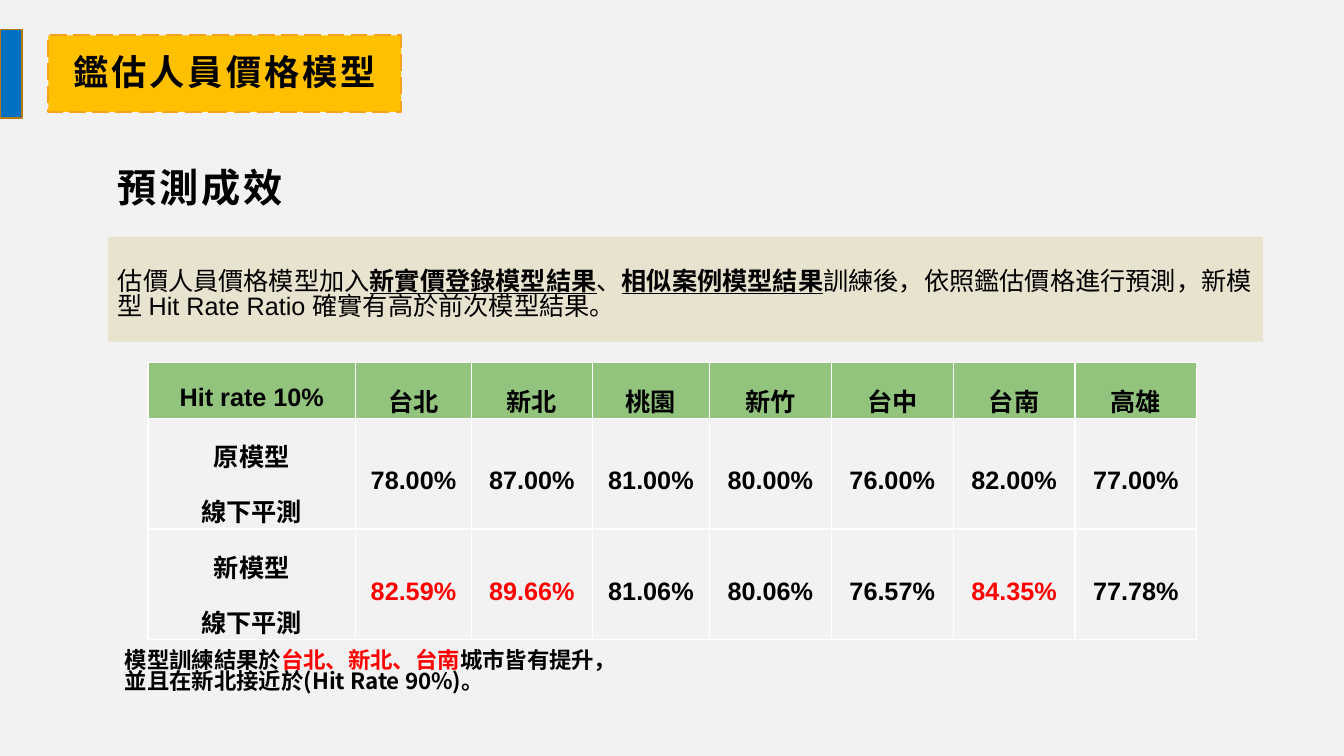
from dataclasses import dataclass
from typing import Any

from lxml import etree
from pptx import Presentation
from pptx import util as u
from pptx.dml import color as dml
from pptx.enum import dml as dash
from pptx.enum import shapes, text
from pptx.oxml import ns

HUES = {"back": "F2F2F2", "bar": "0070C0", "rim": "B67815", "gold": "FFC000",
        "edge": "F6A21D", "sand": "E8E3CE", "head": "93C47D",
        "ink": "000000", "red": "FF0000", "white": "FFFFFF"}
HAN = "Noto Sans CJK TC"


@dataclass
class Style:
    font: str
    size: float
    bold: bool = False
    track: int = 0
    lead: float = 1.0
    center: bool = False


@dataclass
class Bit:
    words: str
    hue: str = "ink"
    fmt: dict[str, Any] | None = None


@dataclass
class Panel:
    box: tuple[float, float, float, float]
    pads: tuple[float, float, float, float]
    style: Style
    bits: list[Bit]
    fill: str = ""
    edge: str = ""
    mid: bool = False


def tint(name: str) -> dml.RGBColor:
    return dml.RGBColor.from_string(HUES[name])


def apply(item: Any, fmt: dict[str, Any]) -> None:
    for key, val in fmt.items():
        setattr(item, key, val)


def write(para: Any, bits: list[Bit], style: Style) -> None:
    side = text.PP_ALIGN.CENTER if style.center else text.PP_ALIGN.LEFT
    apply(para, {"alignment": side, "line_spacing": style.lead})
    for bit in bits:
        run = para.add_run()
        run.text = bit.words
        base = {"name": style.font, "size": u.Pt(style.size), "bold": style.bold}
        apply(run.font, base | (bit.fmt or {}))
        run.font.color.rgb = tint(bit.hue)
        props = run._r.get_or_add_rPr()
        if style.track:
            props.set("spc", str(style.track * 100))
        etree.SubElement(props, ns.qn("a:ea"), typeface=HAN)


def block(slide: Any, box: tuple[float, ...], fill: str, edge: str, width: float) -> Any:
    shape = slide.shapes.add_shape(shapes.MSO_SHAPE.RECTANGLE, *map(u.Cm, box))
    shape.shadow.inherit = False
    shape.fill.solid()
    shape.fill.fore_color.rgb = tint(fill)
    if edge:
        shape.line.color.rgb = tint(edge)
        shape.line.width = u.Pt(width)
    else:
        shape.line.fill.background()
    return shape


def draw(slide: Any, panel: Panel) -> None:
    if panel.fill:
        shape = block(slide, panel.box, panel.fill, panel.edge, 1.5)
        if panel.edge:
            shape.line.dash_style = dash.MSO_LINE.LONG_DASH
    else:
        shape = slide.shapes.add_textbox(*map(u.Cm, panel.box))
    frame = shape.text_frame
    sides = ("margin_left", "margin_top", "margin_right", "margin_bottom")
    anchor = text.MSO_ANCHOR.MIDDLE if panel.mid else text.MSO_ANCHOR.TOP
    apply(frame, dict(zip(sides, map(u.Cm, panel.pads)))
          | {"word_wrap": True, "vertical_anchor": anchor})
    write(frame.paragraphs[0], panel.bits, panel.style)


def border(cell: Any) -> None:
    props = cell._tc.get_or_add_tcPr()
    for spot, side in enumerate("LRTB"):
        line = etree.Element(ns.qn(f"a:ln{side}"), w=str(u.Pt(1)))
        fill = etree.SubElement(line, ns.qn("a:solidFill"))
        etree.SubElement(fill, ns.qn("a:srgbClr"), val=HUES["white"])
        props.insert(spot, line)


def grid(slide: Any) -> None:
    rows = [
        ["Hit rate 10%", "台北", "新北", "桃園", "新竹", "台中", "台南", "高雄"],
        ["原模型\n線下平測", "78.00%", "87.00%", "81.00%", "80.00%",
         "76.00%", "82.00%", "77.00%"],
        ["新模型\n線下平測", "82.59%", "89.66%", "81.06%", "80.06%",
         "76.57%", "84.35%", "77.78%"],
    ]
    wide = [5.23, 2.92, 3.05, 2.95] + [3.07] * 4
    high = [1.4, 2.79, 2.79]
    risen = {"82.59%", "89.66%", "84.35%"}
    style = Style("Arial", 18, bold=True, lead=1.5, center=True)
    pads = dict.fromkeys(("margin_left", "margin_right", "margin_top"), u.Cm(0.03))
    fmt = pads | {"margin_bottom": 0, "vertical_anchor": text.MSO_ANCHOR.MIDDLE}
    table = slide.shapes.add_table(len(rows), len(wide), u.Cm(3.73), u.Cm(9.14),
                                   u.Cm(sum(wide)), u.Cm(sum(high))).table
    for col, size in zip(table.columns, wide):
        col.width = u.Cm(size)
    for r, (row, size) in enumerate(zip(rows, high)):
        table.rows[r].height = u.Cm(size)
        for c, words in enumerate(row):
            cell = table.cell(r, c)
            apply(cell, fmt)
            if r == 0:
                cell.fill.solid()
                cell.fill.fore_color.rgb = tint("head")
            else:
                cell.fill.background()
            border(cell)
            hue = "red" if words in risen else "ink"
            for n, line in enumerate(words.split("\n")):
                frame = cell.text_frame
                para = frame.add_paragraph() if n else frame.paragraphs[0]
                write(para, [Bit(line, hue)], style)


def main() -> None:
    deck = Presentation()
    apply(deck, {"slide_width": u.Cm(33.87), "slide_height": u.Cm(19.05)})
    slide = deck.slides.add_slide(deck.slide_layouts[6])
    slide.background.fill.solid()
    slide.background.fill.fore_color.rgb = tint("back")
    block(slide, (0, 0.74, 0.56, 2.24), "bar", "rim", 1)

    strong = {"bold": True, "underline": True}
    panels = [
        Panel((1.22, 0.89, 8.89, 1.93), (0.5, 0.5, 0.5, 0.5),
              Style("Calibri", 25.2, bold=True, track=2, lead=0.9, center=True),
              [Bit("鑑估人員價格模型")], "gold", "edge", True),
        Panel((2.72, 5.97, 29.11, 2.64), (0.25, 0.55, 0.25, 0.25),
              Style("Arial", 18, lead=0.85),
              [Bit("估價人員價格模型加入"),
               Bit("新實價登錄模型結果", fmt=strong),
               Bit("、"),
               Bit("相似案例模型結果", fmt=strong),
               Bit("訓練後，依照鑑估價格進行預測，新模型 Hit Rate Ratio 確實有高於前次模型結果。")],
              "sand", mid=True),
        Panel((2.72, 3.86, 23.67, 1.6), (0.25, 0.25, 0.25, 0.25),
              Style("Roboto Condensed", 28, bold=True, track=2),
              [Bit("預測成效")]),
        Panel((2.9, 16.28, 13.21, 1.63), (0.25, 0.13, 0.25, 0.13),
              Style(HAN, 16, bold=True, lead=0.8),
              [Bit("模型訓練結果於"),
               Bit("台北、新北、台南", "red"),
               Bit("城市皆有提升，並且在新北接近於(Hit Rate 90%)。")]),
    ]
    for panel in panels:
        draw(slide, panel)
    grid(slide)
    deck.save("out.pptx")


if __name__ == "__main__":
    main()
